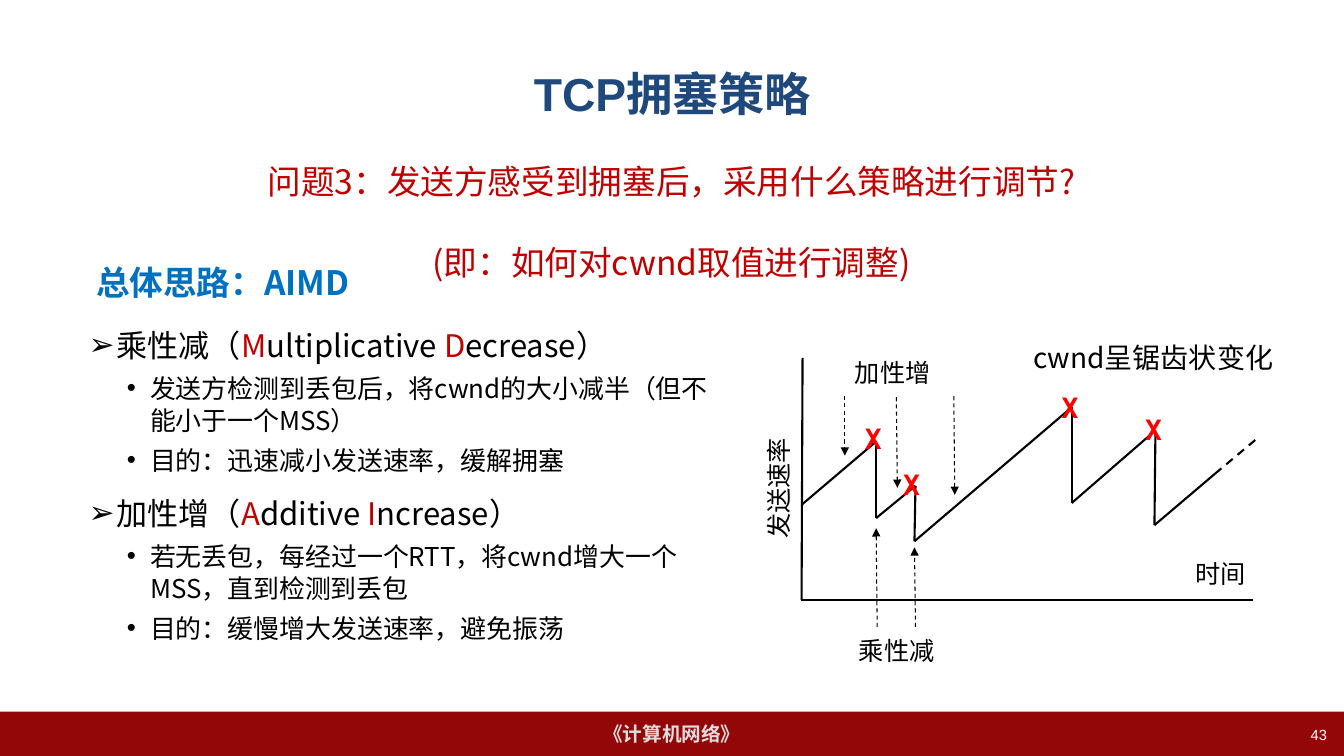
from itertools import pairwise

from lxml import etree
from pptx import Presentation
from pptx.dml.color import RGBColor
from pptx.enum.dml import MSO_LINE
from pptx.enum.shapes import MSO_CONNECTOR, MSO_SHAPE
from pptx.enum.text import MSO_ANCHOR, PP_ALIGN
from pptx.oxml.ns import qn
from pptx.util import Pt

PX = 9144
WIDTH, HEIGHT = 1333, 750
STRAIGHT = MSO_CONNECTOR.STRAIGHT
RECTANGLE = MSO_SHAPE.RECTANGLE
DASH = MSO_LINE.DASH
MIDDLE, TOP = MSO_ANCHOR.MIDDLE, MSO_ANCHOR.TOP
LEFT, CENTER, RIGHT = PP_ALIGN.LEFT, PP_ALIGN.CENTER, PP_ALIGN.RIGHT
SANS, CJK, MONO = "Arial", "Noto Sans CJK SC", "DejaVu Sans Mono"

BLACK = RGBColor(0x00, 0x00, 0x00)
WHITE = RGBColor(0xFF, 0xFF, 0xFF)
NAVY = RGBColor(0x1F, 0x49, 0x7D)
BLUE = RGBColor(0x00, 0x70, 0xC0)
CRIMSON = RGBColor(0xC0, 0x00, 0x00)
RED = RGBColor(0xFF, 0x00, 0x00)
MAROON = RGBColor(0x94, 0x07, 0x09)
SILVER = RGBColor(0xDD, 0xDD, 0xDD)

STRATEGIES = [
    (["乘性减（", "M", "ultiplicative ", "D", "ecrease）"],
     ["发送方检测到丢包后，将cwnd的大小减半（但不能小于一个MSS）",
      "目的：迅速减小发送速率，缓解拥塞"]),
    (["加性增（", "A", "dditive ", "I", "ncrease）"],
     ["若无丢包，每经过一个RTT，将cwnd增大一个MSS，直到检测到丢包",
      "目的：缓慢增大发送速率，避免振荡"]),
]


def style(paragraph, size, color, font=SANS, bold=False, align=LEFT):
    paragraph.font.size = Pt(size)
    paragraph.font.name = font
    paragraph.font.bold = bold
    paragraph.font.color.rgb = color
    paragraph.alignment = align


def add_text(slide, box, lines, size, color, font=SANS, bold=False,
             align=LEFT, anchor=TOP, wrap=False, gap=0):
    label = slide.shapes.add_textbox(*(v * PX for v in box))
    frame = label.text_frame
    frame.word_wrap = wrap
    frame.vertical_anchor = anchor
    for index, line in enumerate(lines):
        paragraph = frame.add_paragraph() if index else frame.paragraphs[0]
        paragraph.text = line
        paragraph.space_before = Pt(gap if index else 0)
        style(paragraph, size, color, font, bold, align)
    return label


def add_line(slide, start, end, weight=1.5, dashed=False, arrow=False):
    line = slide.shapes.add_connector(
        STRAIGHT, *(v * PX for v in (*start, *end)))
    line.line.color.rgb = BLACK
    line.line.width = Pt(weight)
    if dashed:
        line.line.dash_style = DASH
    if arrow:
        etree.SubElement(line.line._get_or_add_ln(), qn("a:tailEnd"),
                         type="triangle")
    etree.SubElement(line._element.spPr, qn("a:effectLst"))


def add_bullet(paragraph, mark, margin, hang):
    properties = paragraph._p.get_or_add_pPr()
    properties.set("marL", str(margin * PX))
    properties.set("indent", str(-hang * PX))
    defaults = properties.find(qn("a:defRPr"))
    defaults.addprevious(etree.Element(qn("a:buFont"), typeface=SANS))
    defaults.addprevious(etree.Element(qn("a:buChar"), char=mark))


def footer(slide, left, top, width, height):
    band = slide.shapes.add_shape(
        RECTANGLE, *(v * PX for v in (left, top, width, height)))
    band.shadow.inherit = False
    band.fill.solid()
    band.fill.fore_color.rgb = MAROON
    band.line.fill.background()
    band.text_frame.vertical_anchor = MIDDLE
    course = band.text_frame.paragraphs[0]
    course.text = "《计算机网络》"
    style(course, 14, SILVER, bold=True, align=CENTER)
    add_text(slide, (left + width - 318, top + 9, 311, 35), ["43"], 10.5,
             WHITE, align=RIGHT)


def heading(slide, left, top, width, height):
    add_text(slide, (left, top, width, height), ["TCP拥塞策略"], 33, NAVY,
             bold=True, align=CENTER, anchor=MIDDLE, wrap=True)
    add_text(slide, (left + 184, top + 125, 830, 137),
             ["问题3：发送方感受到拥塞后，采用什么策略进行调节?",
              "(即：如何对cwnd取值进行调整)"],
             24, CRIMSON, CJK, align=CENTER, gap=29)


def strategies(slide, left, top, width, height):
    add_text(slide, (left, top, 286, 50), ["总体思路：AIMD"], 24, BLUE, CJK,
             bold=True, align=CENTER)
    outline = slide.shapes.add_textbox(
        *(v * PX for v in (left, top + 62, width, height - 62)))
    frame = outline.text_frame
    frame.word_wrap = True
    for index, (name_parts, details) in enumerate(STRATEGIES):
        name = frame.add_paragraph() if index else frame.paragraphs[0]
        name.line_spacing = 1.05
        name.space_before = Pt(12)
        style(name, 22.2, BLACK, CJK)
        for order, part in enumerate(name_parts):
            run = name.add_run()
            run.text = part
            run.font.color.rgb = CRIMSON if order % 2 else BLACK
        add_bullet(name, "➢", 28, 28)
        for detail in details:
            point = frame.add_paragraph()
            point.text = detail
            point.level = 1
            point.line_spacing = 1.05
            point.space_before = Pt(5)
            style(point, 18.5, BLACK, CJK)
            add_bullet(point, "•", 61, 23)


def sawtooth(slide, left, top, width, height):
    def at(x, y):
        return left + x, top + y

    add_line(slide, at(2, 5), at(1, 245))
    add_line(slide, at(0, 245), at(449, 245))

    rate = [(2, 150), (75, 88), (75, 164), (114, 132), (113, 187),
            (269, 54), (269, 149), (352, 77), (351, 171), (411, 120)]
    for start, end in pairwise(rate):
        add_line(slide, at(*start), at(*end))
    add_line(slide, at(*rate[-1]), at(454, 84), dashed=True)

    increases = [((44, 43), (44, 102)), ((95, 44), (96, 134)),
                 ((152, 43), (153, 141))]
    decreases = [((76, 272), (75, 174)), ((114, 272), (113, 193))]
    for start, end in increases + decreases:
        add_line(slide, at(*start), at(*end), 0.75, dashed=True, arrow=True)

    losses = [(54, 63), (92, 109), (249, 32), (332, 54)]
    for x, y in losses:
        add_text(slide, (*at(x, y), 39, 44), ["X"], 20, RED, MONO, bold=True)

    for text, x, y, span in [("加性增", 44, 0, 97), ("乘性减", 48, 275, 96),
                             ("时间", 382, 199, 71)]:
        add_text(slide, (*at(x, y), span, 40), [text], 18, BLACK)
    rate_label = add_text(slide, (*at(-82, 114), 121, 40), ["发送速率"], 18,
                          BLACK)
    rate_label.rotation = 270
    add_text(slide, (*at(221, -17), width, 44), ["cwnd呈锯齿状变化"], 20,
             BLACK, CJK)


def main():
    deck = Presentation()
    deck.slide_width, deck.slide_height = WIDTH * PX, HEIGHT * PX
    slide = deck.slides.add_slide(deck.slide_layouts[6])
    footer(slide, 0, 706, WIDTH, 44)
    heading(slide, 67, 30, 1200, 125)
    strategies(slide, 78, 255, 643, 407)
    sawtooth(slide, 794, 350, 328, 315)
    deck.save("out.pptx")


if __name__ == "__main__":
    main()
